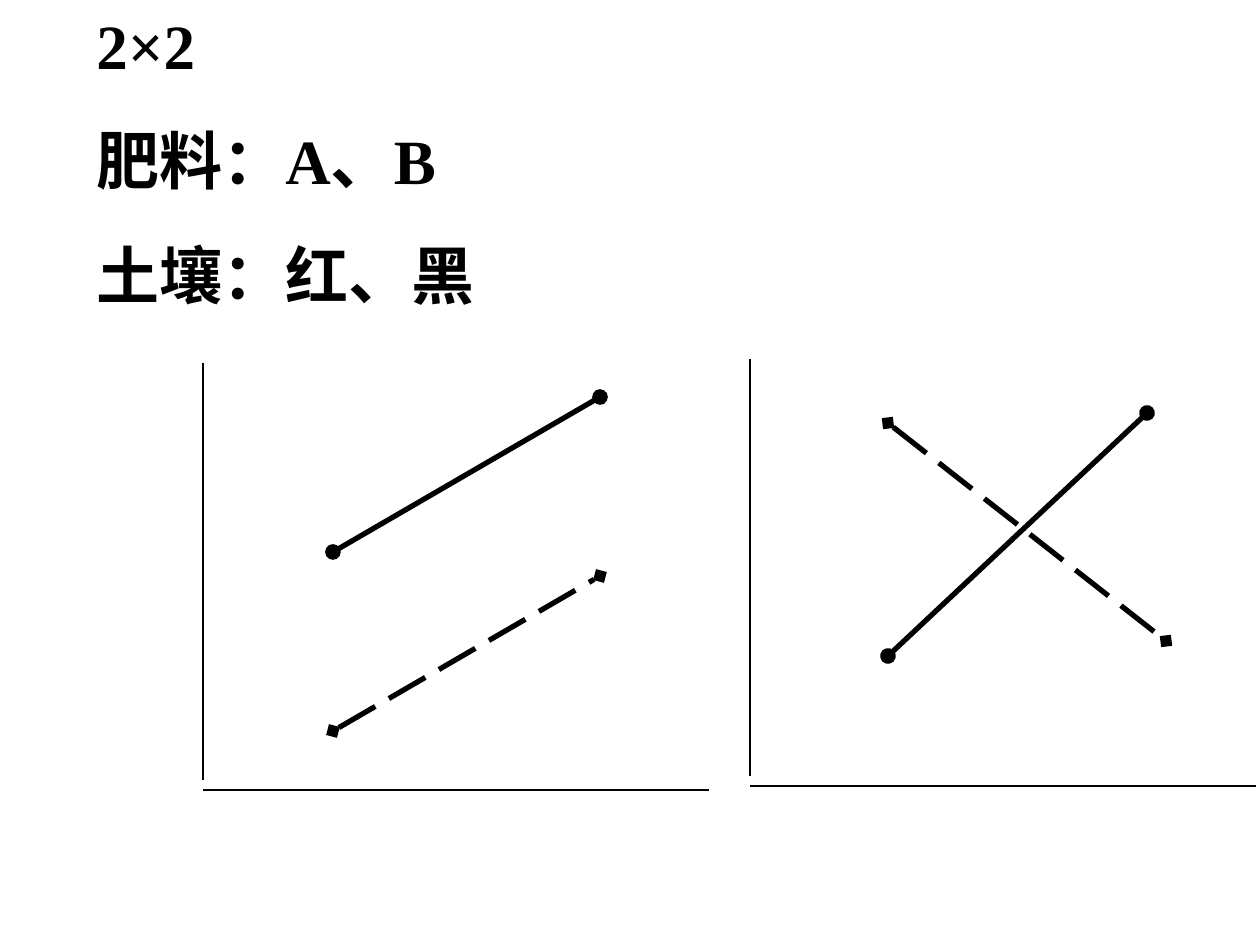
from lxml import etree
from pptx import Presentation, util as u
from pptx.dml.color import RGBColor
from pptx.enum import dml, shapes, text
from pptx.oxml.ns import qn

PX = 914400 / 126  # EMU in one px
COLORS = {"ink": "000000", "paper": "FFFFFF"}
FONT = "Times New Roman"

# Content: the factorial design and its two interaction plots
DESIGN = ["2×2", "肥料：A、B", "土壤：红、黑"]
AXIS_W, AXIS_H, AXIS_GAP = 506, 417, 10
PLOTS = [  # origin is the top of the vertical axis; series run (x1, y1, x2, y2)
    {"origin": (203, 363), "solid": (333, 552, 600, 397), "dashed": (333, 731, 600, 576)},
    {"origin": (750, 359), "solid": (888, 656, 1147, 413), "dashed": (888, 423, 1166, 641)},
]
MARKERS = {"solid": "oval", "dashed": "diamond"}


def px(n):
    return u.Emu(round(n * PX))


def add_line(s, ends, width, marker=None, dashed=False):
    c = s.shapes.add_connector(shapes.MSO_CONNECTOR.STRAIGHT, *map(px, ends))
    c.line.color.rgb = RGBColor.from_string(COLORS["ink"])
    c.line.width = u.Pt(width)
    if dashed:
        c.line.dash_style = dml.MSO_LINE.LONG_DASH
    if marker:
        ln = c.line._get_or_add_ln()
        for tag in ("a:headEnd", "a:tailEnd"):
            etree.SubElement(ln, qn(tag), type=marker)
    etree.SubElement(c._element.spPr, qn("a:effectLst"))


prs = Presentation()
prs.slide_width, prs.slide_height = px(1260), px(945)
s = prs.slides.add_slide(prs.slide_layouts[6])
s.background.fill.solid()
s.background.fill.fore_color.rgb = RGBColor.from_string(COLORS["paper"])

# Plots: axes, then one line per series
for plot in PLOTS:
    x, y = plot["origin"]
    base = y + AXIS_H + AXIS_GAP
    add_line(s, (x, y, x, y + AXIS_H), 0.75)
    add_line(s, (x, base, x + AXIS_W, base), 0.75)
    for style, marker in MARKERS.items():
        add_line(s, plot[style], 3, marker, style == "dashed")

# Design text
tf = s.shapes.add_textbox(px(84), px(0), px(456), px(319)).text_frame
tf.word_wrap = True
tf.auto_size = text.MSO_AUTO_SIZE.SHAPE_TO_FIT_TEXT
for i, line in enumerate(DESIGN):
    p = tf.add_paragraph() if i else tf.paragraphs[0]
    p.text = line
    p.space_before = u.Pt(22.5 if i else 0)
    p.font.name, p.font.size, p.font.bold = FONT, u.Pt(36), True
    p.font.color.rgb = RGBColor.from_string(COLORS["ink"])

prs.save("out.pptx")
